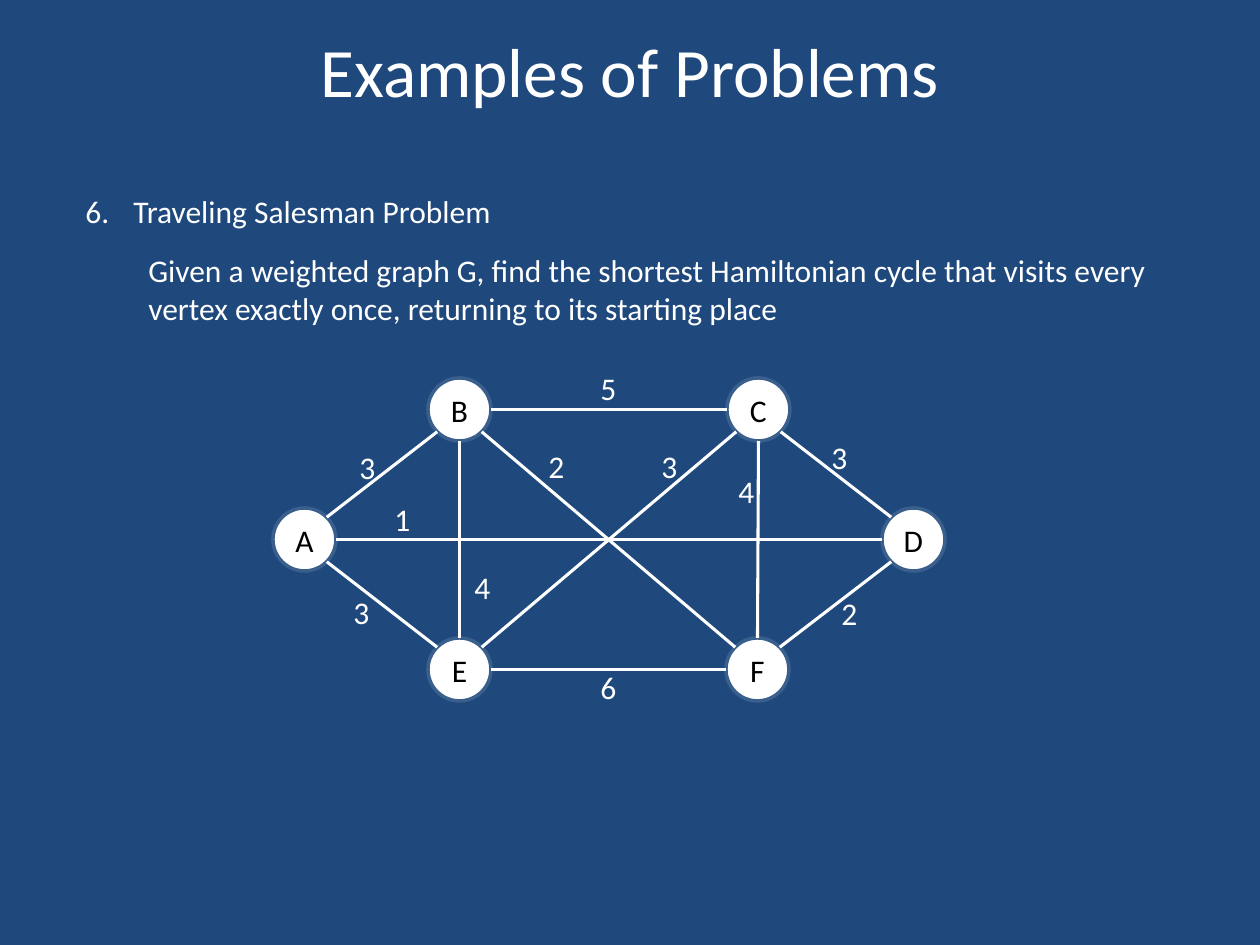
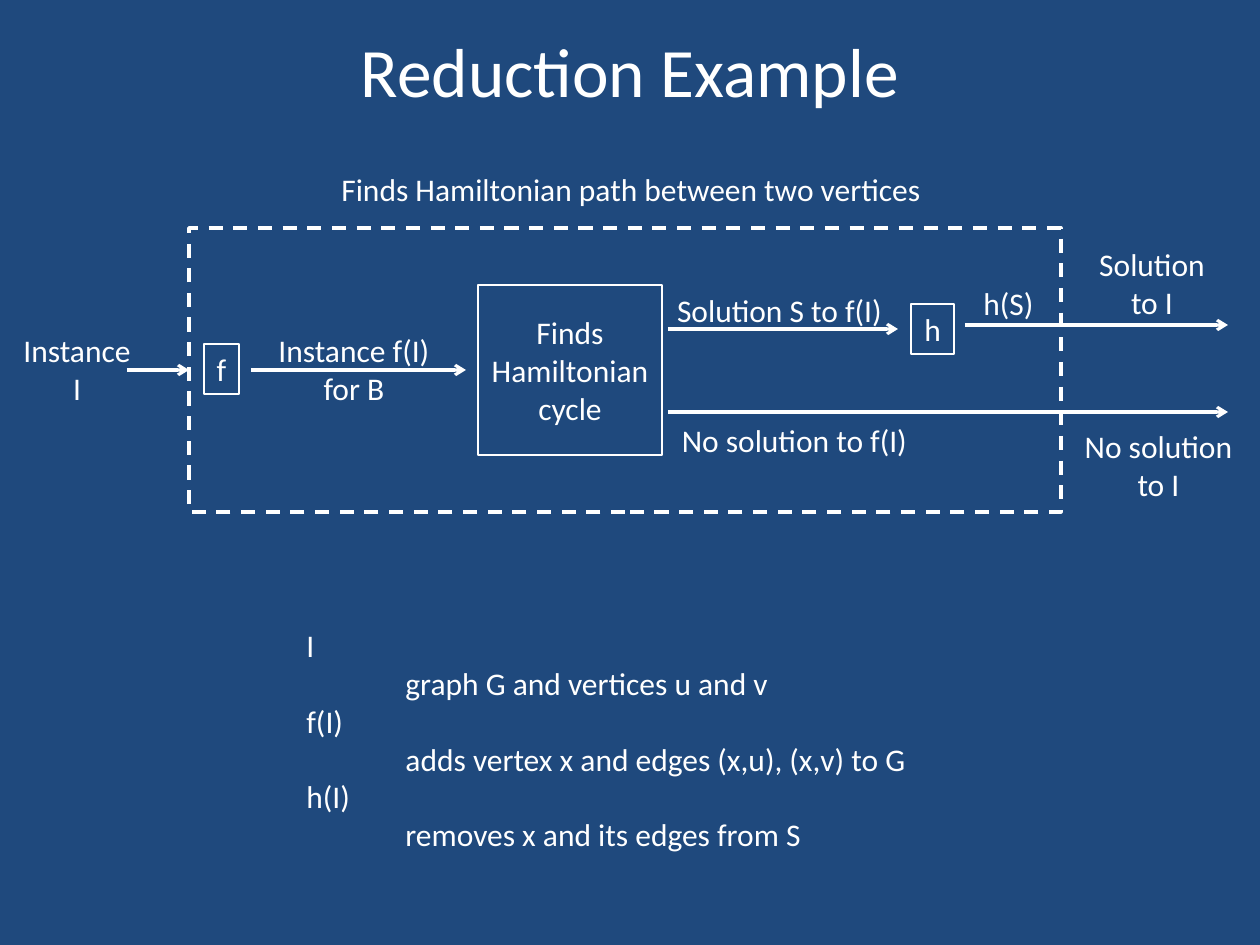
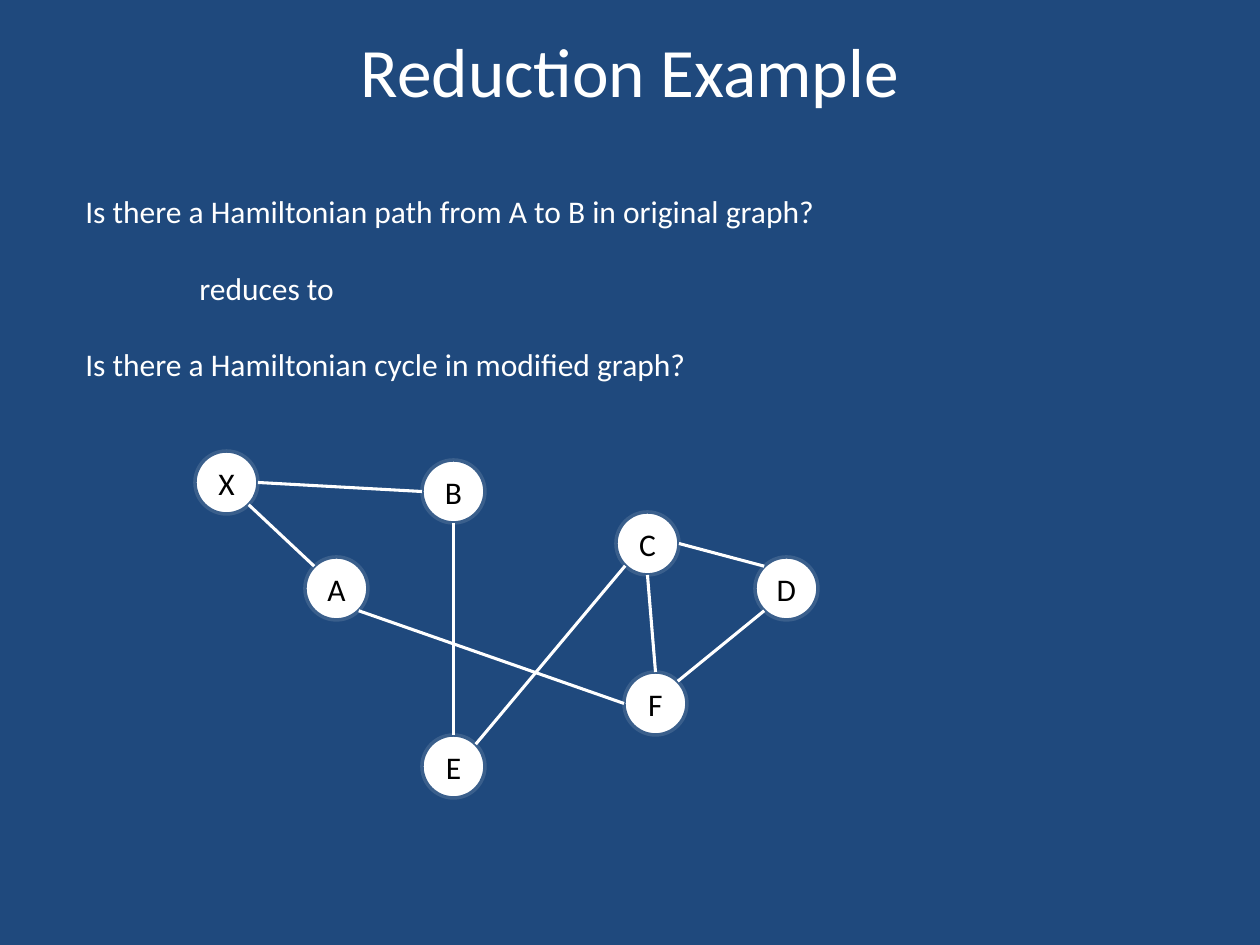
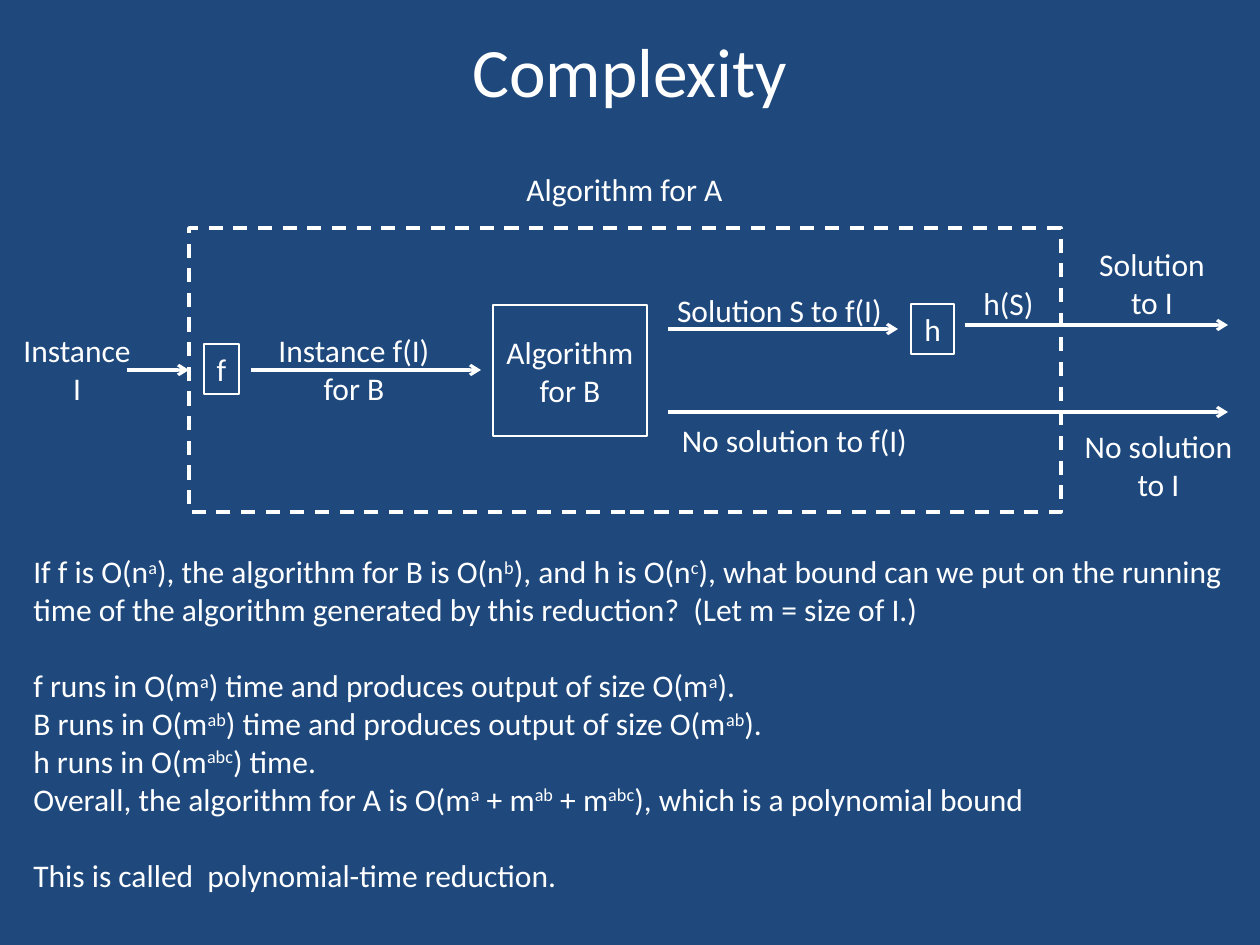
from dataclasses import dataclass
from math import sqrt

from lxml.etree import SubElement
from pptx import Presentation
from pptx.dml.color import RGBColor
from pptx.enum.dml import MSO_LINE
from pptx.enum.shapes import MSO_CONNECTOR, MSO_SHAPE
from pptx.enum.text import MSO_ANCHOR, MSO_AUTO_SIZE, PP_ALIGN
from pptx.oxml.ns import qn
from pptx.util import Emu, Pt


@dataclass(frozen=True)
class Theme:
    """Colours, type sizes and line widths shared by the deck."""
    font: str = "Calibri"
    title_size: float = 39.6
    body_size: float = 18
    line_height: float = 22
    background: RGBColor = RGBColor(0x1F, 0x49, 0x7D)
    light: RGBColor = RGBColor(0xFF, 0xFF, 0xFF)
    dark: RGBColor = RGBColor(0, 0, 0)
    ring: RGBColor = RGBColor(0x3A, 0x5F, 0x8C)
    edge_width: float = 1.75
    outline_width: float = 2
    thin_width: float = 0.75


@dataclass(frozen=True)
class Line:
    """A paragraph with its indent in pixels and space before in points."""
    text: str
    left: int = 0
    hang: int = 0
    before: float = 0
    number: int = 0


THEME = Theme()
EMU_PER_PIXEL = 914400 / 126
NODE = 63
DIAGONAL = 1 / sqrt(2)
SITES = {
    "n": (0, -1), "s": (0, 1), "w": (-1, 0), "e": (1, 0),
    "nw": (-DIAGONAL, -DIAGONAL), "ne": (DIAGONAL, -DIAGONAL),
    "sw": (-DIAGONAL, DIAGONAL), "se": (DIAGONAL, DIAGONAL),
}


def px(length):
    """Turn pixels into EMU."""
    return Emu(round(length * EMU_PER_PIXEL))


def write(shape, *lines, size=THEME.body_size, color=THEME.light,
          align=PP_ALIGN.LEFT, anchor=MSO_ANCHOR.TOP, wrap=True, inset=None):
    """Fill a shape with paragraphs; ^ toggles superscript, newline breaks a line."""
    frame = shape.text_frame
    frame.word_wrap = wrap
    frame.auto_size = MSO_AUTO_SIZE.NONE if wrap else MSO_AUTO_SIZE.SHAPE_TO_FIT_TEXT
    frame.vertical_anchor = anchor
    if inset is not None:
        frame.margin_left = frame.margin_right = px(inset)
        frame.margin_top = frame.margin_bottom = px(inset)
    for index, line in enumerate(lines):
        if isinstance(line, str):
            line = Line(line)
        para = frame.paragraphs[0] if index == 0 else frame.add_paragraph()
        para.alignment = align
        if line.before:
            para.space_before = Pt(line.before)
        properties = para._p.get_or_add_pPr()
        properties.set("marL", str(px(line.left)))
        properties.set("indent", str(px(-line.hang)))
        if line.number:
            SubElement(properties, qn("a:buAutoNum"),
                       type="arabicPeriod", startAt=str(line.number))
        for row, row_text in enumerate(line.text.split("\n")):
            if row:
                para.add_line_break()
            for part, words in enumerate(row_text.split("^")):
                if not words:
                    continue
                span = para.add_run()
                span.text = words
                span.font.name = THEME.font
                span.font.size = Pt(size)
                span.font.color.rgb = color
                if part % 2:
                    span._r.get_or_add_rPr().set("baseline", "30000")


def add_text(page, box, *lines, **style):
    """Place a text box and write into it."""
    write(page.shapes.add_textbox(*map(px, box)), *lines, **style)


def add_box(page, kind, box, width, fill=None, line=THEME.light, dash=None):
    """Place an outlined preset shape and return it."""
    shape = page.shapes.add_shape(kind, *map(px, box))
    shape.shadow.inherit = False
    if fill is None:
        shape.fill.background()
    else:
        shape.fill.solid()
        shape.fill.fore_color.rgb = fill
    shape.line.color.rgb = line
    shape.line.width = Pt(width)
    if dash is not None:
        shape.line.dash_style = dash
    return shape


def add_line(page, start, end, arrow=False):
    """Draw a straight line, with an open arrowhead at its end if asked."""
    line = page.shapes.add_connector(MSO_CONNECTOR.STRAIGHT, *map(px, (*start, *end)))
    line.line.color.rgb = THEME.light
    line.line.width = Pt(THEME.edge_width)
    if arrow:
        SubElement(line.line._get_or_add_ln(), qn("a:tailEnd"), type="arrow")
    SubElement(line._element.spPr, qn("a:effectLst"))


def add_page(deck, title):
    """Add a blank page with the shared background and title."""
    page = deck.slides.add_slide(deck.slide_layouts[6])
    page.background.fill.solid()
    page.background.fill.fore_color.rgb = THEME.background
    add_text(page, (63, 21, 1134, 98), title, size=THEME.title_size,
             align=PP_ALIGN.CENTER, anchor=MSO_ANCHOR.MIDDLE)
    return page


def add_graph(page, origin, nodes, edges):
    """Draw named nodes and the edges between their sites, with optional weights."""
    left, top = origin

    def site(name, side):
        """Find the point on a node's rim at a compass side."""
        return [start + at + NODE / 2 * (1 + step)
                for start, at, step in zip(origin, nodes[name], SITES[side])]

    for name, (x, y) in nodes.items():
        node = add_box(page, MSO_SHAPE.OVAL, (left + x, top + y, NODE, NODE),
                       THEME.outline_width, fill=THEME.light, line=THEME.ring)
        write(node, name, color=THEME.dark, align=PP_ALIGN.CENTER,
              anchor=MSO_ANCHOR.MIDDLE, inset=0)
    for first, first_side, second, second_side, *_ in edges:
        add_line(page, site(first, first_side), site(second, second_side))
    for *_, weight, spot in (edge for edge in edges if len(edge) > 4):
        add_text(page, (left + spot[0], top + spot[1], 42, 50), weight, wrap=False)


def add_reduction(page, origin, caption, caption_span, solver, solver_size):
    """Draw the reduction from one problem to another around a solver box."""
    left, top = origin

    def place(x, y, width, height):
        return left + x, top + y, width, height

    def label(box, *lines, **style):
        add_text(page, place(*box), *lines, **{"align": PP_ALIGN.CENTER, **style})

    solver_width, solver_height = solver_size
    solver_left = 570 - solver_width // 2
    boxes = [
        (solver, (solver_left, 206 - solver_height // 2, solver_width, solver_height)),
        ("f", (204, 180, 35, 50)),
        ("h", (911, 140, 43, 50)),
    ]
    for name, box in boxes:
        shape = add_box(page, MSO_SHAPE.RECTANGLE, place(*box), THEME.thin_width)
        write(shape, name, align=PP_ALIGN.CENTER, anchor=MSO_ANCHOR.MIDDLE, inset=0)
    add_box(page, MSO_SHAPE.RECTANGLE, place(189, 64, 872, 284),
            THEME.outline_width, dash=MSO_LINE.DASH)

    for start, end, y, arrow in [
        (127, 189, 206, True),
        (251, solver_left - 12, 206, True),
        (668, 898, 165, True),
        (965, 1061, 161, False),
        (1061, 1228, 161, True),
        (668, 1061, 248, False),
        (1061, 1228, 248, True),
    ]:
        add_line(page, (left + start, top + y), (left + end, top + y), arrow)

    label((caption_span[0], 0, caption_span[1], 50), caption, wrap=False)
    label((10, 161, 134, 89), "Instance", "I", wrap=False)
    label((242, 161, 224, 89), "Instance f(I)", "for B")
    label((660, 121, 239, 89), "Solution S to f(I)")
    label((668, 251, 253, 50), "No solution to f(I)", wrap=False)
    label((970, 114, 77, 50), "h(S)", wrap=False)
    label((1086, 75, 132, 89), "Solution", "to I", wrap=False)
    label((1071, 257, 175, 89), "No solution\nto I", wrap=False)


def salesman_page(deck):
    """Build the page on the traveling salesman problem."""
    page = add_page(deck, "Examples of Problems")
    add_text(page, (73, 186, 1134, 568),
             Line("Traveling Salesman Problem", left=48, hang=48, number=6),
             Line("Given a weighted graph G, find the shortest Hamiltonian cycle that "
                  "visits every vertex exactly once, returning to its starting place",
                  left=63, before=12))
    nodes = {"B": (155, 15), "A": (0, 145), "E": (155, 275),
             "C": (454, 15), "F": (453, 275), "D": (609, 145)}
    edges = [
        ("E", "ne", "C", "sw", "3", (376, 78)),
        ("F", "n", "C", "s", "4", (453, 103)),
        ("F", "ne", "D", "sw", "2", (556, 225)),
        ("A", "e", "D", "w", "1", (109, 131)),
        ("A", "ne", "B", "sw", "3", (74, 79)),
        ("A", "se", "E", "nw", "3", (68, 224)),
        ("E", "n", "B", "s", "4", (189, 199)),
        ("C", "se", "D", "nw", "3", (546, 69)),
        ("E", "e", "F", "w", "6", (315, 299)),
        ("B", "e", "C", "w", "5", (315, 0)),
        ("F", "nw", "B", "se", "2", (263, 78)),
    ]
    add_graph(page, (273, 363), nodes, edges)


def path_reduction_page(deck):
    """Build the page that reduces Hamiltonian path to Hamiltonian cycle."""
    page = add_page(deck, "Reduction Example")
    add_reduction(page, (0, 164), "Finds Hamiltonian path between two vertices",
                  (325, 612), "Finds\nHamiltonian\ncycle", (184, 170))
    meanings = {
        "I": "graph G and vertices u and v",
        "f(I)": "adds vertex x and edges (x,u), (x,v) to G",
        "h(I)": "removes x and its edges from S",
    }
    lines = [line for term, meaning in meanings.items()
             for line in (Line(term), Line(meaning, left=99))]
    add_text(page, (294, 620, 634, 242), *lines)


def modified_graph_page(deck):
    """Build the page that shows the graph with the added vertex."""
    page = add_page(deck, "Reduction Example")
    add_text(page, (73, 186, 1134, 547),
             "Is there a Hamiltonian path from A to B in original graph?",
             Line("reduces to", left=114, before=THEME.line_height),
             Line("Is there a Hamiltonian cycle in modified graph?",
                  before=THEME.line_height))
    nodes = {"B": (227, 9), "A": (110, 106), "E": (227, 284), "C": (421, 61),
             "F": (429, 221), "D": (560, 106), "X": (0, 0)}
    edges = [
        ("E", "ne", "C", "sw"), ("F", "n", "C", "s"), ("F", "ne", "D", "sw"),
        ("A", "se", "F", "w"), ("E", "n", "B", "s"), ("X", "se", "A", "nw"),
        ("X", "e", "B", "w"), ("C", "e", "D", "nw"),
    ]
    add_graph(page, (195, 451), nodes, edges)


def complexity_page(deck):
    """Build the page that bounds the running time of a reduction."""
    page = add_page(deck, "Complexity")
    add_reduction(page, (0, 164), "Algorithm for A", (513, 223),
                  "Algorithm\nfor B", (154, 131))
    add_text(page, (21, 546, 1225, 394),
             "If f is O(n^a^), the algorithm for B is O(n^b^), and h is O(n^c^), what "
             "bound can we put on the running time of the algorithm generated by this "
             "reduction?  (Let m = size of I.)",
             Line("f runs in O(m^a^) time and produces output of size O(m^a^).",
                  before=THEME.line_height),
             "B runs in O(m^ab^) time and produces output of size O(m^ab^).",
             "h runs in O(m^abc^) time.",
             "Overall, the algorithm for A is O(m^a^ + m^ab^ + m^abc^), which is a "
             "polynomial bound",
             Line("This is called  polynomial-time reduction.",
                  before=THEME.line_height))


deck = Presentation()
deck.slide_width, deck.slide_height = px(1260), px(945)
salesman_page(deck)
path_reduction_page(deck)
modified_graph_page(deck)
complexity_page(deck)
deck.save("out.pptx")
